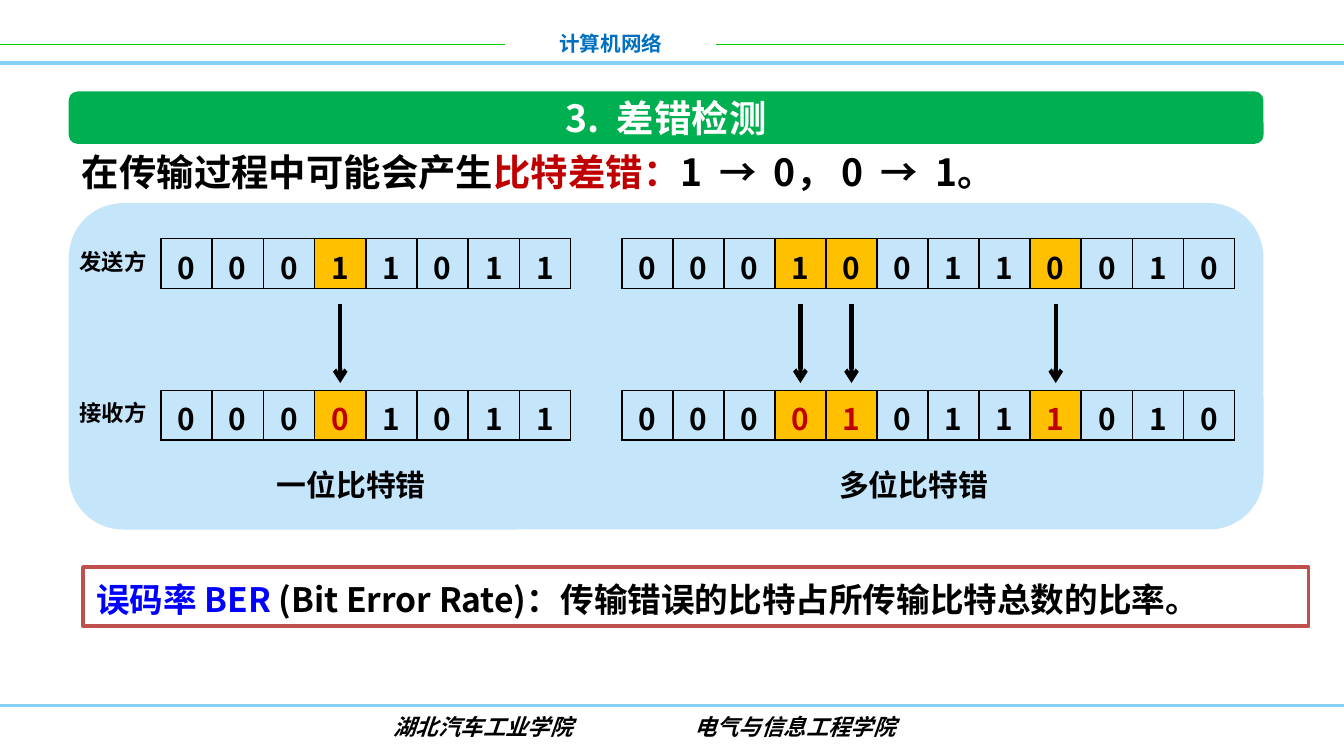
from dataclasses import dataclass

from lxml.etree import SubElement
from pptx import Presentation
from pptx.dml.color import RGBColor
from pptx.enum.shapes import MSO_CONNECTOR, MSO_SHAPE
from pptx.enum.text import MSO_ANCHOR, PP_ALIGN
from pptx.oxml.ns import qn
from pptx.util import Cm, Pt


@dataclass(frozen=True)
class Theme:
    """Colours, fonts and type sizes of the slide."""
    black: str = "000000"
    white: str = "FFFFFF"
    header: str = "0070C0"
    header_line: str = "00CC00"
    rule: str = "85D1F7"
    title_bar: str = "00B050"
    panel: str = "C5E5FB"
    changed: str = "FFC000"
    error: str = "C00000"
    term: str = "0000FF"
    frame: str = "C0504D"
    font: str = "Noto Sans CJK SC"
    footer_font: str = "Arial"
    heading_size: int = 20
    definition_size: int = 18
    bit_size: int = 16
    label_size: int = 12
    header_size: int = 11


THEME = Theme()


def colour(value):
    """Turn a hex string into a colour."""
    return RGBColor.from_string(value)


def style_paragraph(paragraph, size, color, align, font_name=THEME.font, italic=False):
    """Set alignment and the shared font of a paragraph."""
    paragraph.alignment = align
    font = paragraph.font
    font.size, font.bold, font.italic = Pt(size), True, italic
    font.name = font_name
    font.color.rgb = colour(color)
    defaults = paragraph._p.pPr.find(qn("a:defRPr"))
    SubElement(defaults, qn("a:ea"), typeface=THEME.font)


def add_text(slide, box, text, size, color=THEME.black, align=PP_ALIGN.CENTER, wrap=False):
    """Add a one-paragraph text box, centred vertically."""
    frame = slide.shapes.add_textbox(*map(Cm, box)).text_frame
    frame.word_wrap = wrap
    frame.vertical_anchor = MSO_ANCHOR.MIDDLE
    paragraph = frame.paragraphs[0]
    paragraph.text = text
    style_paragraph(paragraph, size, color, align)
    return paragraph


def add_runs(paragraph, parts):
    """Add coloured runs to a paragraph."""
    for text, color in parts:
        run = paragraph.add_run()
        run.text = text
        run.font.color.rgb = colour(color)


def add_block(slide, kind, box, fill):
    """Add a plain filled shape without outline."""
    shape = slide.shapes.add_shape(kind, *map(Cm, box))
    shape.shadow.inherit = False
    shape.fill.solid()
    shape.fill.fore_color.rgb = colour(fill)
    shape.line.fill.background()
    return shape


def add_line(slide, start, end, color, width, arrow=False):
    """Add a straight line, with an optional arrowhead at its end."""
    line = slide.shapes.add_connector(MSO_CONNECTOR.STRAIGHT, *map(Cm, (*start, *end)))
    line.line.color.rgb = colour(color)
    line.line.width = Pt(width)
    properties = line.element.spPr
    if arrow:
        SubElement(properties.find(qn("a:ln")), qn("a:tailEnd"), type="arrow")
    SubElement(properties, qn("a:effectLst"))


def add_header(slide, box):
    """Place the course name between two lines, above a rule."""
    left, top, width, height = box
    name_left, name_width = left + 9.55, 3.99
    line_y, right = top + 0.38, left + width
    add_line(slide, (left, line_y), (name_left, line_y), THEME.header_line, 1)
    add_line(slide, (name_left + name_width, line_y), (right, line_y), THEME.header_line, 1)
    add_text(slide, (name_left, top, name_width, height), "计算机网络",
             THEME.header_size, THEME.header, wrap=True)
    add_line(slide, (left, top + height), (right, top + height), THEME.rule, 2)


def add_footer(slide, box):
    """Place the footer rule and the two institution names."""
    left, top, width, height = box
    add_line(slide, (left, top), (left + width, top), THEME.rule, 1.5)
    frame = slide.shapes.add_textbox(*map(Cm, (left + 2.59, top, 19.2, height))).text_frame
    frame.word_wrap = True
    frame.vertical_anchor = MSO_ANCHOR.MIDDLE
    paragraph = frame.paragraphs[0]
    paragraph.text = "\t湖北汽车工业学院\t电气与信息工程学院"
    stops = SubElement(paragraph._p.get_or_add_pPr(), qn("a:tabLst"))
    for position in (4.6, 10.28):
        SubElement(stops, qn("a:tab"), pos=str(Cm(position)), algn="l")
    style_paragraph(paragraph, THEME.label_size, THEME.black, PP_ALIGN.LEFT,
                    THEME.footer_font, italic=True)


def add_title(slide, box):
    """Place the title bar with its heading inside."""
    bar = add_block(slide, MSO_SHAPE.ROUNDED_RECTANGLE, box, THEME.title_bar)
    frame = bar.text_frame
    frame.word_wrap = True
    frame.vertical_anchor = MSO_ANCHOR.MIDDLE
    frame.margin_top = frame.margin_bottom = 0
    paragraph = frame.paragraphs[0]
    paragraph.text = "3.  差错检测"
    style_paragraph(paragraph, THEME.heading_size, THEME.white, PP_ALIGN.CENTER)


def add_statement(slide, box):
    """Place the sentence that introduces bit errors."""
    paragraph = add_text(slide, box, "", THEME.heading_size, align=PP_ALIGN.LEFT, wrap=True)
    add_runs(paragraph, [("在传输过程中可能会产生", THEME.black), ("比特差错：", THEME.error),
                         ("1  →  0， 0  →  1。", THEME.black)])


def add_borders(cell):
    """Draw a thin black border on every side of a cell."""
    properties = cell._tc.get_or_add_tcPr()
    for index, side in enumerate(("lnL", "lnR", "lnT", "lnB")):
        border = properties.makeelement(qn(f"a:{side}"), {"w": str(Pt(1))})
        fill = SubElement(border, qn("a:solidFill"))
        SubElement(fill, qn("a:srgbClr"), val=THEME.black)
        properties.insert(index, border)


def add_bits(slide, box, bits, changed, changed_color):
    """Place a row of bits and highlight the changed ones."""
    table = slide.shapes.add_table(1, len(bits), *map(Cm, box)).table
    table.first_row = table.horz_banding = False
    for column, bit in enumerate(bits):
        table.columns[column].width = Cm(box[2] / len(bits))
        cell = table.cell(0, column)
        cell.margin_left = cell.margin_right = cell.margin_bottom = 0
        cell.margin_top = Cm(0.1)
        cell.vertical_anchor = MSO_ANCHOR.MIDDLE
        cell.text = bit
        color = changed_color if column in changed else THEME.black
        style_paragraph(cell.text_frame.paragraphs[0], THEME.bit_size, color, PP_ALIGN.CENTER)
        if column in changed:
            cell.fill.solid()
            cell.fill.fore_color.rgb = colour(THEME.changed)
        else:
            cell.fill.background()
        add_borders(cell)


def add_transmission(slide, box, sent, received, caption):
    """Place sent and received bits, arrows at the errors and a caption."""
    left, top, width, height = box
    row = 0.94
    changed = [i for i, pair in enumerate(zip(sent, received)) if pair[0] != pair[1]]
    add_bits(slide, (left, top, width, row), sent, changed, THEME.black)
    add_bits(slide, (left, top + 2.87, width, row), received, changed, THEME.error)
    for column in changed:
        x = left + width / len(sent) * (column + 0.5)
        add_line(slide, (x, top + 1.23), (x, top + 2.73), THEME.black, 2.25, arrow=True)
    add_text(slide, (left + width / 2 - 1.95, top + height - row, 3.35, row), caption,
             THEME.bit_size)


def add_error_panel(slide, box):
    """Place the panel that compares single and multiple bit errors."""
    left, top, width, height = box
    add_block(slide, MSO_SHAPE.ROUNDED_RECTANGLE, box, THEME.panel)
    for label, offset in (("发送方", 0.73), ("接收方", 3.58)):
        add_text(slide, (left - 0.08, top + offset, 1.8, 0.76), label,
                 THEME.label_size, align=PP_ALIGN.RIGHT)
    add_transmission(slide, (left + 1.74, top + 0.67, 7.75, 5.12),
                     "00011011", "00001011", "一位比特错")
    add_transmission(slide, (left + 10.45, top + 0.67, 11.58, 5.12),
                     "000100110010", "000010111010", "多位比特错")


def add_definition(slide, box):
    """Place the framed definition of the bit error rate."""
    shape = add_block(slide, MSO_SHAPE.RECTANGLE, box, THEME.white)
    shape.line.color.rgb = colour(THEME.frame)
    shape.line.width = Pt(2)
    shape.text_frame.word_wrap = True
    paragraph = shape.text_frame.paragraphs[0]
    paragraph.line_spacing = Pt(24)
    add_runs(paragraph, [("误码率 BER ", THEME.term),
                         ("(Bit Error Rate)：传输错误的比特占所传输比特总数的比率。", THEME.black)])
    style_paragraph(paragraph, THEME.definition_size, THEME.black, PP_ALIGN.LEFT)


def main():
    """Build the slide and save it."""
    presentation = Presentation()
    presentation.slide_width, presentation.slide_height = Cm(25.4), Cm(14.29)
    slide = presentation.slides.add_slide(presentation.slide_layouts[6])
    add_header(slide, (0, 0.46, 25.4, 0.73))
    add_footer(slide, (0, 13.34, 25.4, 0.8))
    add_title(slide, (1.3, 1.73, 22.58, 0.99))
    add_statement(slide, (1.3, 2.69, 22.58, 1.12))
    add_error_panel(slide, (1.3, 3.84, 22.58, 6.17))
    add_definition(slide, (1.57, 10.72, 23.16, 1.12))
    presentation.save("out.pptx")


if __name__ == "__main__":
    main()
